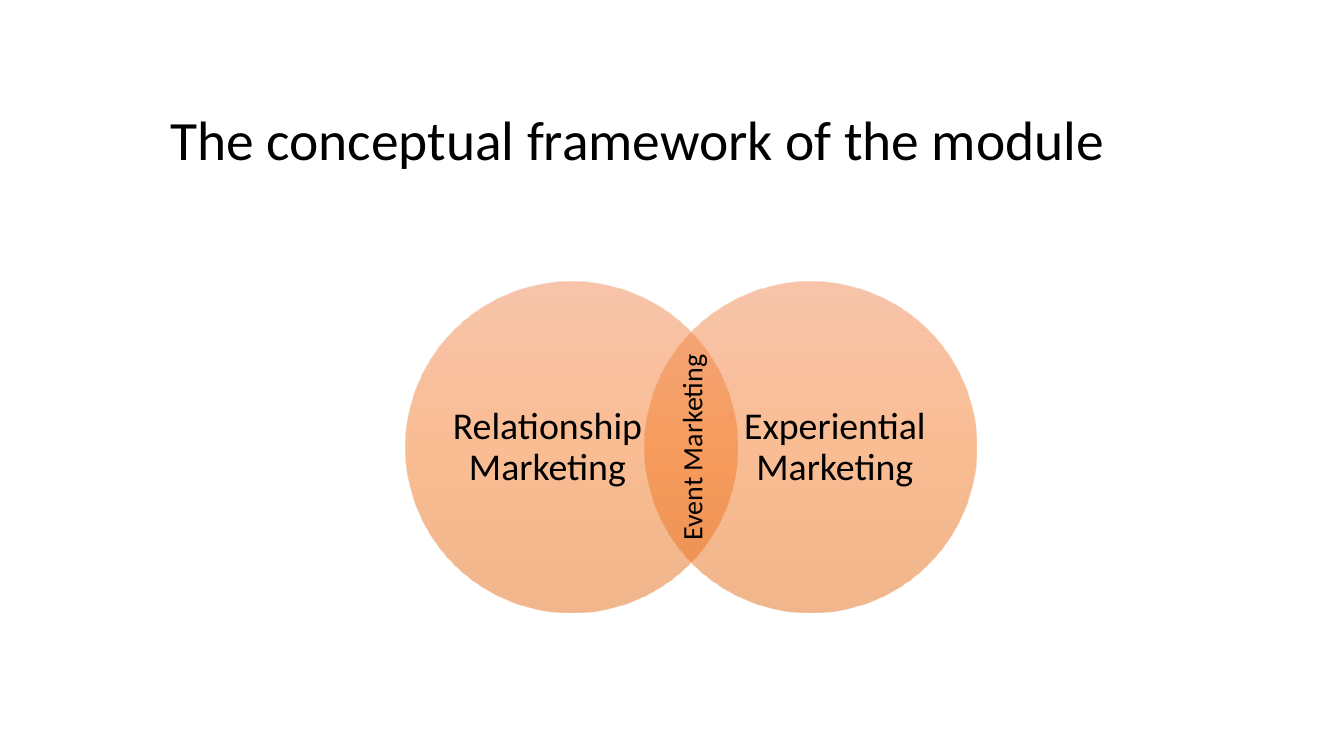
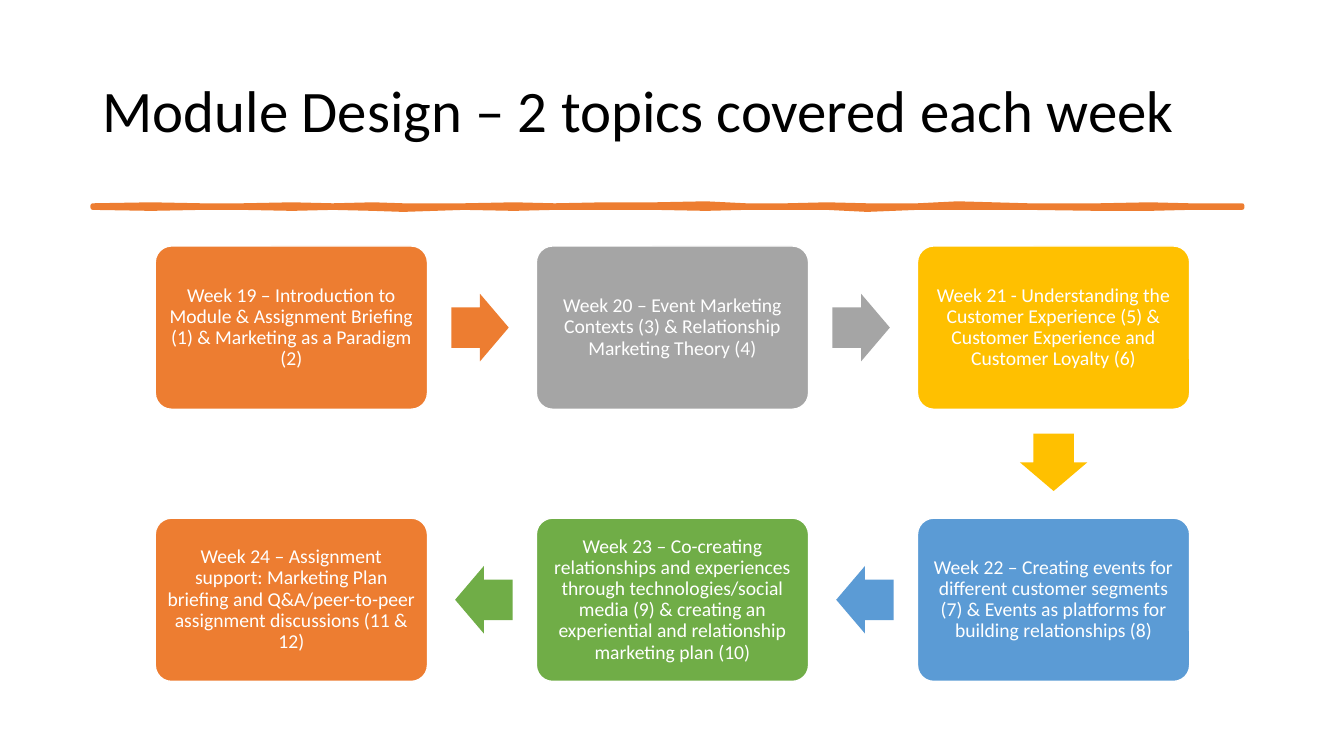
import math
from pptx import Presentation
from pptx import util as u
from pptx.dml.color import RGBColor
from pptx.enum import shapes, text
from pptx.oxml import parse_xml
from pptx.oxml.ns import nsdecls, qn

FONT, BLACK, WHITE = "Calibri", "000000", "FFFFFF"
ORANGE, GRAY, GOLD, BLUE, GREEN = "ED7D31", "A5A5A5", "FFC000", "5B9BD5", "70AD47"
KIND = shapes.MSO_SHAPE
MID = text.MSO_ANCHOR.MIDDLE
CENTER = text.PP_ALIGN.CENTER


def tint(fill, color):
    fill.solid()
    fill.fore_color.rgb = RGBColor.from_string(color)


def write(shape, words, size, color=BLACK, align=None, inset=(0.1, 0.05), space=0.9):
    side, edge = map(u.Inches, inset)
    frame = shape.text_frame
    look = dict(word_wrap=True, vertical_anchor=MID, margin_left=side,
                margin_right=side, margin_top=edge, margin_bottom=edge)
    for key, val in look.items():
        setattr(frame, key, val)
    para = frame.paragraphs[0]
    para.text = words
    para.alignment = align
    para.line_spacing = space
    font = para.runs[0].font
    for key, val in dict(name=FONT, size=u.Pt(size)).items():
        setattr(font, key, val)
    font.color.rgb = RGBColor.from_string(color)


deck = Presentation()
deck.slide_width, deck.slide_height = u.Inches(13.33), u.Inches(7.5)

titles = [
    ("The conceptual framework of the module", 39.6, (1.59, 1.01, 10.33, 0.81)),
    ("Module Design – 2 topics covered each week", 42, (0.92, 0.4, 11.5, 1.45)),
]
pages = []
for words, size, area in titles:
    page = deck.slides.add_slide(deck.slide_layouts[6]).shapes
    write(page.add_textbox(*map(u.Inches, area)), words, size)
    pages.append(page)
venn, plan = pages

stops = "".join(
    f'<a:gs pos="{pos}000"><a:srgbClr val="{color}"><a:alpha val="50000"/></a:srgbClr></a:gs>'
    for pos, color in [(0, "F18C57"), (50, "F67B28"), (100, "E56C19")])
blend = (f'<a:gradFill {nsdecls("a")} rotWithShape="1"><a:gsLst>{stops}</a:gsLst>'
         '<a:lin ang="5400000" scaled="0"/></a:gradFill>')

rings = [("Relationship Marketing", 4.02, 4.48), ("Experiential Marketing", 6.39, 7.33)]
for words, left, inner in rings:
    ring = venn.add_shape(KIND.OVAL, *map(u.Inches, (left, 2.79, 3.29, 3.29)))
    ring.shadow.inherit = False
    ring.line.fill.background()
    ring.fill.background()
    props = ring._element.spPr
    props.replace(props.find(qn("a:noFill")), parse_xml(blend))
    label = venn.add_textbox(*map(u.Inches, (inner, 3.18, 1.9, 2.52)))
    write(label, words, 27, align=CENTER, inset=(0, 0))

label = venn.add_textbox(*map(u.Inches, (5.42, 4.22, 2.87, 0.44)))
write(label, "Event Marketing", 20, align=CENTER, space=1)
label.rotation = 270

wave = [
    (0.92, 2.04, 2.06), (1.5, 2.03, 2.07), (2, 2.04, 2.06), (2.4, 2.04, 2.06),
    (2.9, 2.03, 2.07), (3.3, 2.04, 2.06), (3.7, 2.03, 2.07), (4, 2.04, 2.08),
    (4.6, 2.04, 2.06), (5.1, 2.03, 2.07), (5.5, 2.04, 2.06), (6, 2.03, 2.06),
    (6.5, 2.03, 2.06), (7, 2.02, 2.07), (7.4, 2.04, 2.06), (7.8, 2.04, 2.06),
    (8.2, 2.03, 2.06), (8.6, 2.04, 2.08), (9.1, 2.04, 2.06), (9.5, 2.02, 2.06),
    (10.2, 2.04, 2.06), (10.9, 2.04, 2.07), (11.4, 2.03, 2.07), (11.8, 2.04, 2.06),
    (12.32, 2.04, 2.06),
]
edge = [(x, top) for x, top, low in wave] + [(x, low) for x, top, low in reversed(wave)]
dots = [(u.Inches(x), u.Inches(y)) for x, y in edge]
path = plan.build_freeform(*dots[0])
path.add_line_segments(dots[1:], close=True)
rule = path.convert_to_shape()
rule.shadow.inherit = False
tint(rule.fill, ORANGE)
tint(rule.line.fill, ORANGE)
rule.line.width = u.Pt(3.25)

weeks = [
    (0, 0, ORANGE, "Week 19 – Introduction to Module & Assignment Briefing (1) & Marketing as a Paradigm (2)"),
    (1, 0, GRAY, "Week 20 – Event Marketing Contexts (3) & Relationship Marketing Theory (4)"),
    (2, 0, GOLD, "Week 21 - Understanding the Customer Experience (5) & Customer Experience and Customer Loyalty (6)"),
    (2, 1, BLUE, "Week 22 – Creating events for different customer segments (7) & Events as platforms for building relationships (8)"),
    (1, 1, GREEN, "Week 23 – Co-creating relationships and experiences through technologies/social media (9) & creating an experiential and relationship marketing plan (10)"),
    (0, 1, ORANGE, "Week 24 – Assignment support: Marketing Plan briefing and Q&A/peer-to-peer assignment discussions (11 & 12)"),
]
wide, high, step, drop = 2.7, 1.62, 3.78, 2.7
long, thick = 0.57, 0.67
for spot, (col, row, color, words) in enumerate(weeks):
    left, top = 1.54 + col * step, 2.44 + row * drop
    card = plan.add_shape(KIND.ROUNDED_RECTANGLE, *map(u.Inches, (left, top, wide, high)))
    card.adjustments[0] = 0.1
    card.shadow.inherit = False
    tint(card.fill, color)
    tint(card.line.fill, WHITE)
    card.line.width = u.Pt(1)
    write(card, words, 14, WHITE, CENTER, (0.06, 0.06))
    if spot + 1 < len(weeks):
        over, down = weeks[spot + 1][0] - col, weeks[spot + 1][1] - row
        x = left + wide / 2 + 0.495 * over * step - long / 2
        y = top + high / 2 + 0.495 * down * drop - thick / 2
        arrow = plan.add_shape(KIND.RIGHT_ARROW, *map(u.Inches, (x, y, long, thick)))
        arrow.adjustments[0] = 0.6
        arrow.adjustments[1] = 0.5
        arrow.rotation = math.degrees(math.atan2(down, over))
        arrow.shadow.inherit = False
        tint(arrow.fill, color)
        arrow.line.fill.background()

deck.save("out.pptx")
